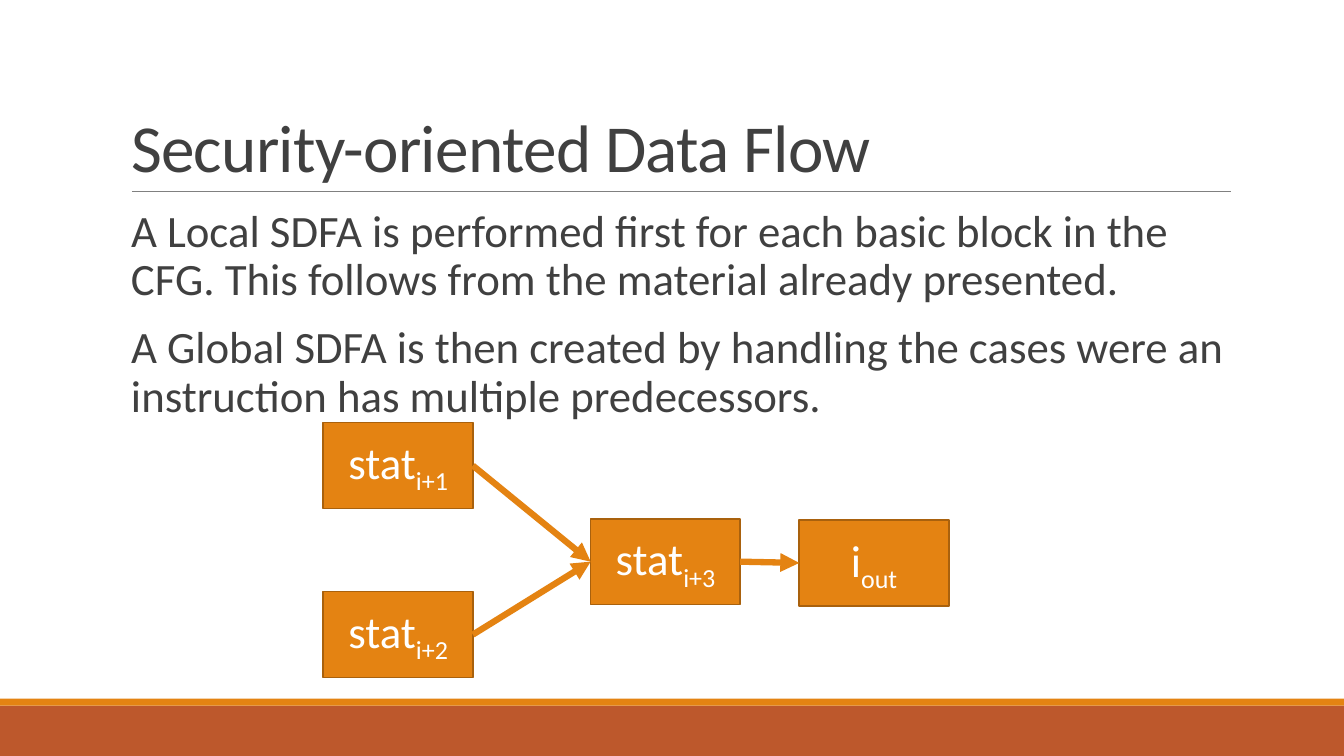
from lxml import etree
from pptx import Presentation, util as u
from pptx.dml.color import RGBColor
from pptx.enum import shapes, text
from pptx.oxml.ns import qn

Pt = u.Pt

# Content
WIDE, HIGH = 960, 540
FONT = "Calibri"
DARK, WHITE, GOLD, RUST = "404040", "FFFFFF", "E48312", "BD582C"
EDGE, GREY = "A9610D", "808080"
TITLE = "Security-oriented Data Flow"
BODY = [
    "A Local SDFA is performed first for each basic block in the CFG. "
    "This follows from the material already presented.",
    "A Global SDFA is then created by handling the cases were an "
    "instruction has multiple predecessors.",
]
BANDS = [(504, 36, RUST), (499, 5, GOLD)]  # top, height, fill
BOX = (106.8, 61.4)
NODES = {  # subscript: (base text, left, top)
    "i+1": ("stat", 231, 301.9),
    "i+2": ("stat", 231, 422.6),
    "i+3": ("stat", 421.9, 370.5),
    "out": ("i", 570.9, 371.4),
}
LINKS = [("i+1", "i+3"), ("i+2", "i+3"), ("i+3", "out")]


def color(code):
    return RGBColor.from_string(code)


def add_run(para, words, size, code):
    run = para.add_run()
    run.text = words
    run.font.size = Pt(size)
    run.font.name = FONT
    run.font.color.rgb = color(code)
    return run


def add_rect(slide, left, top, wide, high, fill):
    rect = slide.shapes.add_shape(
        shapes.MSO_SHAPE.RECTANGLE, Pt(left), Pt(top), Pt(wide), Pt(high))
    rect.shadow.inherit = False
    rect.fill.solid()
    rect.fill.fore_color.rgb = color(fill)
    rect.line.fill.background()
    return rect


def add_line(slide, start, end, code, width):
    line = slide.shapes.add_connector(
        shapes.MSO_CONNECTOR.STRAIGHT, *map(Pt, start + end))
    line.line.color.rgb = color(code)
    line.line.width = Pt(width)
    etree.SubElement(line._element.spPr, qn("a:effectLst"))
    return line


def place(shape, left, top, wide, high):
    shape.left, shape.top = Pt(left), Pt(top)
    shape.width, shape.height = Pt(wide), Pt(high)


def add_title(slide):
    title = slide.shapes.title
    place(title, 86.4, 22.3, 792, 114.5)
    frame = title.text_frame
    frame.word_wrap = True
    frame.vertical_anchor = text.MSO_ANCHOR.BOTTOM
    para = frame.paragraphs[0]
    para.alignment = text.PP_ALIGN.LEFT
    para.line_spacing = 0.85
    run = add_run(para, TITLE, 48, DARK)
    run.font._element.set("spc", "-50")


def add_body(slide):
    box = slide.shapes.add_textbox(Pt(86.4), Pt(145.4), Pt(792), Pt(316.8))
    frame = box.text_frame
    frame.word_wrap = True
    frame.margin_left = frame.margin_right = 0
    for i, words in enumerate(BODY):
        para = frame.paragraphs[0] if i == 0 else frame.add_paragraph()
        para.line_spacing = 0.9
        para.space_before, para.space_after = Pt(12), Pt(2)
        add_run(para, words, 32, DARK)
        # Hanging indent with a blank bullet
        props = para._p.get_or_add_pPr()
        props.set("marL", str(Pt(7.2)))
        props.set("indent", str(Pt(-7.2)))
        tint = etree.SubElement(props, qn("a:buClr"))
        etree.SubElement(tint, qn("a:srgbClr"), val=GOLD)
        etree.SubElement(props, qn("a:buFont"), typeface=FONT)
        etree.SubElement(props, qn("a:buChar"), char=" ")


def add_node(slide, base, sub, left, top):
    node = add_rect(slide, left, top, *BOX, GOLD)
    node.line.color.rgb = color(EDGE)
    node.line.width = Pt(1.25)
    frame = node.text_frame
    frame.vertical_anchor = text.MSO_ANCHOR.MIDDLE
    para = frame.paragraphs[0]
    para.alignment = text.PP_ALIGN.CENTER
    add_run(para, base, 32, WHITE)
    low = add_run(para, sub, 32, WHITE)
    low.font._element.set("baseline", "-25000")
    return node


def main():
    deck = Presentation()
    deck.slide_width, deck.slide_height = Pt(WIDE), Pt(HIGH)
    slide = deck.slides.add_slide(deck.slide_layouts[5])

    # Footer bands and title rule
    for top, high, fill in BANDS:
        add_rect(slide, 0, top, WIDE, high, fill)
    add_line(slide, (94.3, 136.8), (879.1, 136.8), GREY, 0.5)

    add_title(slide)
    add_body(slide)

    # Flow diagram
    nodes = {sub: add_node(slide, base, sub, left, top)
             for sub, (base, left, top) in NODES.items()}
    for src, dest in LINKS:
        link = add_line(slide, (0, 0), (0, 0), GOLD, 4.5)
        link.begin_connect(nodes[src], 3)
        link.end_connect(nodes[dest], 1)
        etree.SubElement(link.line._get_or_add_ln(), qn("a:tailEnd"),
                         type="triangle")

    deck.save("out.pptx")


if __name__ == "__main__":
    main()
